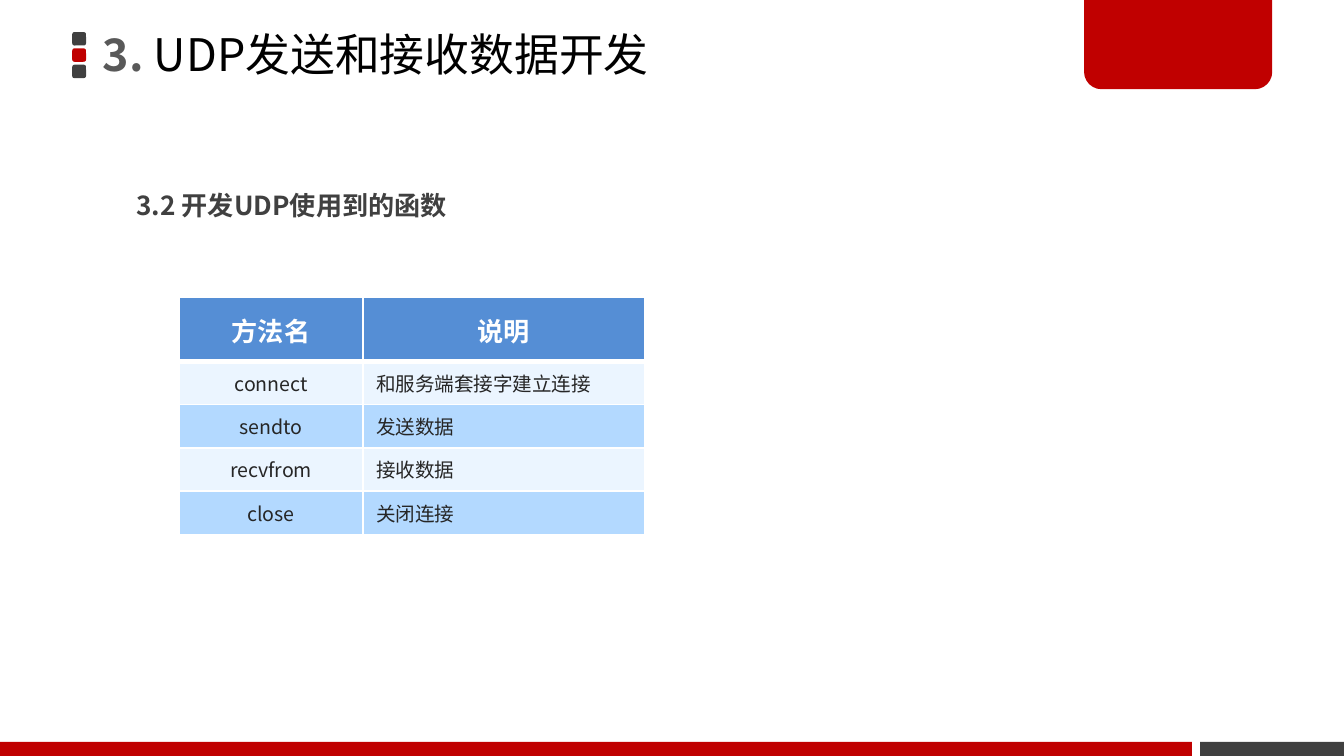
from lxml import etree
from pptx import Presentation
from pptx.dml.color import RGBColor
from pptx.enum.shapes import MSO_SHAPE
from pptx.enum.text import MSO_ANCHOR, PP_ALIGN
from pptx.oxml.ns import qn
from pptx.util import Pt

RECTANGLE = MSO_SHAPE.RECTANGLE
ROUNDED = MSO_SHAPE.ROUNDED_RECTANGLE
TAB = MSO_SHAPE.ROUND_2_SAME_RECTANGLE
TOP, MIDDLE = MSO_ANCHOR.TOP, MSO_ANCHOR.MIDDLE
LEFT, CENTER = PP_ALIGN.LEFT, PP_ALIGN.CENTER
FONT = "Noto Sans CJK SC"
RED, DARK, WHITE = "C00000", "404040", "FFFFFF"
HEADER_BLUE, PALE_BLUE, LIGHT_BLUE = "558ED5", "EBF5FF", "B3D9FF"
COLUMN_WIDTHS = (98.5, 151)
TABLE_LEFT, TABLE_TOP = 96, 159.3
HEADER_HEIGHT, ROW_HEIGHT = 34.2, 23.2
HEADERS = ("方法名", "说明")
FUNCTIONS = [
    ("connect", "和服务端套接字建立连接"),
    ("sendto", "发送数据"),
    ("recvfrom", "接收数据"),
]
CLOSING = ("close", "关闭连接")


def color(value):
    return RGBColor.from_string(value)


def add_block(page, kind, left, top, width, height, fill, adjustments=()):
    block = page.shapes.add_shape(kind, Pt(left), Pt(top), Pt(width), Pt(height))
    block.shadow.inherit = False
    block.fill.solid()
    block.fill.fore_color.rgb = color(fill)
    block.line.fill.background()
    for index, value in enumerate(adjustments):
        block.adjustments[index] = value


def add_span(para, text, size, fill, bold=False):
    span = para.add_run()
    span.text = text
    span.font.size = Pt(size)
    span.font.bold = bold
    span.font.name = FONT
    span.font.color.rgb = color(fill)
    east_asian = etree.SubElement(span.font._element, qn("a:ea"))
    east_asian.set("typeface", FONT)


def add_text(page, left, top, width, height, spans, size, spacing, anchor):
    box = page.shapes.add_textbox(Pt(left), Pt(top), Pt(width), Pt(height))
    frame = box.text_frame
    frame.word_wrap = True
    frame.vertical_anchor = anchor
    para = frame.paragraphs[0]
    para.line_spacing = spacing
    for text, fill, bold in spans:
        add_span(para, text, size, fill, bold)
    return frame


def add_borders(cell, top_width, bottom_width):
    properties = cell._tc.get_or_add_tcPr()
    widths = {"L": 1, "R": 1, "T": top_width, "B": bottom_width}
    for side, width in widths.items():
        line = etree.SubElement(properties, qn(f"a:ln{side}"), w=str(Pt(width)))
        fill = etree.SubElement(line, qn("a:solidFill"))
        etree.SubElement(fill, qn("a:srgbClr"), val=WHITE)


def fill_cell(cell, text, fill, align, is_header, top_width=1):
    add_borders(cell, top_width, 3 if is_header else 1)
    cell.fill.solid()
    cell.fill.fore_color.rgb = color(fill)
    cell.vertical_anchor = TOP if is_header else MIDDLE
    para = cell.text_frame.paragraphs[0]
    para.alignment = align
    if is_header:
        para.line_spacing = Pt(24)
        add_span(para, text, 14, WHITE, True)
    else:
        add_span(para, text, 10.5, "262626")


def add_grid(page, top, rows, has_header):
    heights = [ROW_HEIGHT] * len(rows)
    if has_header:
        heights[0] = HEADER_HEIGHT
    frame = page.shapes.add_table(
        len(rows), len(COLUMN_WIDTHS), Pt(TABLE_LEFT), Pt(top),
        Pt(sum(COLUMN_WIDTHS)), Pt(sum(heights)))
    table = frame.table
    table.first_row = has_header
    table.horz_banding = False
    for column, width in zip(table.columns, COLUMN_WIDTHS):
        column.width = Pt(width)
    for index, texts in enumerate(rows):
        table.rows[index].height = Pt(heights[index])
        is_header = has_header and index == 0
        if is_header:
            fill = HEADER_BLUE
        else:
            fill = PALE_BLUE if index % 2 else LIGHT_BLUE
        top_width = 3 if has_header and index == 1 else 1
        for column, text in enumerate(texts):
            align = CENTER if is_header or column == 0 else LEFT
            fill_cell(table.cell(index, column), text, fill, align, is_header, top_width)
    return top + sum(heights)


def main():
    deck = Presentation()
    deck.slide_width, deck.slide_height = Pt(720), Pt(405)
    page = deck.slides.add_slide(deck.slide_layouts[6])

    for index, fill in enumerate((DARK, RED, DARK)):
        add_block(page, ROUNDED, 38.7, 17.2 + 8.75 * index, 7.4, 7.2, fill, (0.167,))
    add_block(page, RECTANGLE, 643, 397.5, 77, 7.5, DARK)
    add_block(page, TAB, 580.8, -1.4, 100.8, 49.2, RED, (0, 0.19))
    add_block(page, RECTANGLE, 0, 397.5, 638.6, 7.5, RED)

    title = add_text(
        page, 49.7, -1.4, 424, 64,
        [("3. ", "595959", True), ("UDP发送和接收数据开发", "000000", False)],
        24, 0.9, MIDDLE)
    title.margin_left = title.margin_right = Pt(5.4)
    title.margin_top = title.margin_bottom = Pt(2.7)
    add_text(page, 66, 89.3, 276.5, 32.4,
             [("3.2 开发UDP使用到的函数", DARK, True)], 14, 1.5, TOP)

    bottom = add_grid(page, TABLE_TOP, [HEADERS] + FUNCTIONS, True)
    add_grid(page, bottom, [CLOSING], False)
    deck.save("out.pptx")


if __name__ == "__main__":
    main()
